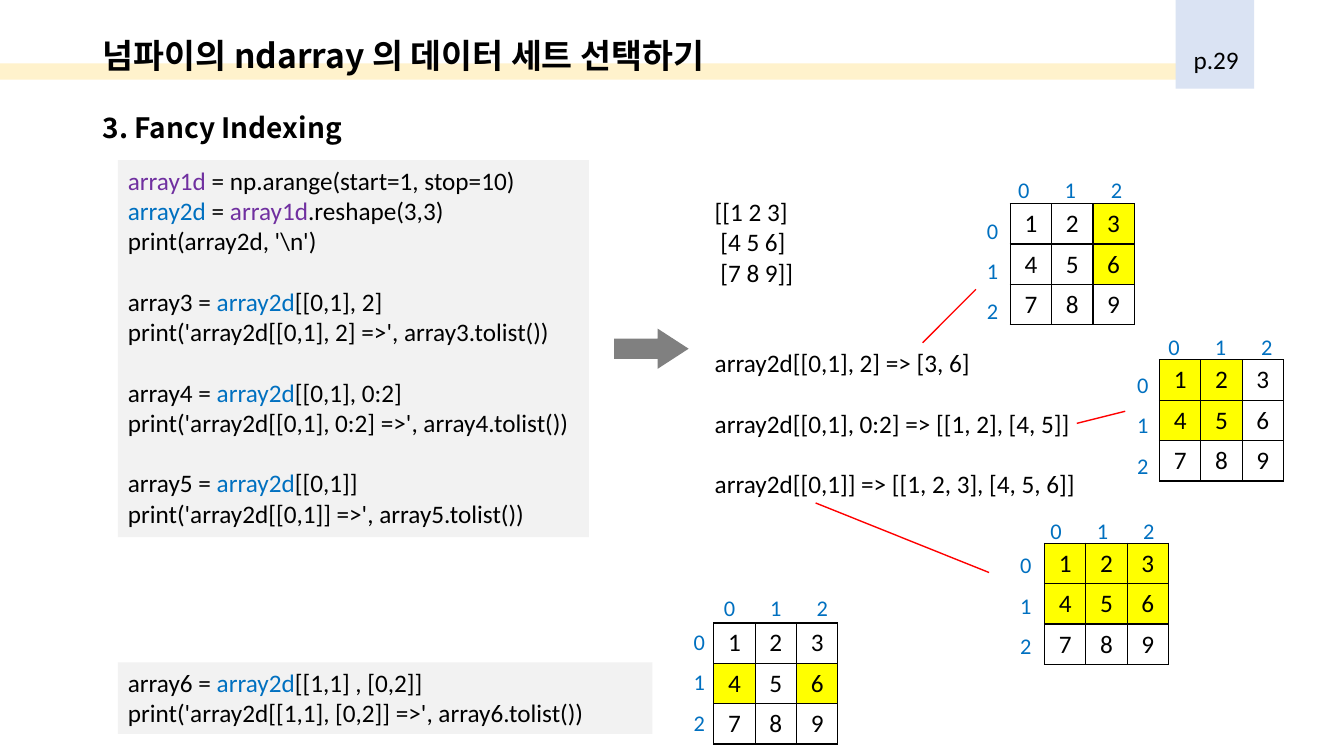
from dataclasses import dataclass

import pptx
import pptx.dml.color
import pptx.enum.shapes
import pptx.enum.text
import pptx.oxml
import pptx.oxml.ns
import pptx.shapes.autoshape
import pptx.slide
import pptx.util
from lxml import etree

Inches = pptx.util.Inches
Pt = pptx.util.Pt
RGBColor = pptx.dml.color.RGBColor
Anchor = pptx.enum.text.MSO_ANCHOR
Preset = pptx.enum.shapes.MSO_SHAPE
qn = pptx.oxml.ns.qn

BLACK = RGBColor(0x00, 0x00, 0x00)
WHITE = RGBColor(0xFF, 0xFF, 0xFF)
YELLOW = RGBColor(0xFF, 0xFF, 0x00)
CREAM = RGBColor(0xFF, 0xF2, 0xCC)
PALE_BLUE = RGBColor(0xDA, 0xE3, 0xF3)
PALE_GRAY = RGBColor(0xF2, 0xF2, 0xF2)
GRAY = RGBColor(0x80, 0x80, 0x80)
BLUE = RGBColor(0x00, 0x70, 0xC0)
PURPLE = RGBColor(0x70, 0x30, 0xA0)
RED = RGBColor(0xFF, 0x00, 0x00)

BODY_FONT = "Calibri"
HEADING_FONT = "Noto Sans CJK KR"
CELL_WIDTH, CELL_HEIGHT = 0.41, 0.4
LABEL_STEP = 0.46
CODE_LINE = 21.6  # height of one 18 pt line, in points

Box = tuple[float, float, float, float]
Point = tuple[float, float]


@dataclass(frozen=True)
class Style:
    size: float = 18
    font: str = BODY_FONT
    bold: bool = False
    spacing: float = 1.0


@dataclass(frozen=True)
class Line:
    """One line of text as (words, colour) runs, with skipped lines above it."""
    runs: tuple[tuple[str, RGBColor], ...]
    skip: int = 0


@dataclass(frozen=True)
class Grid:
    """A 3 by 3 array with its index labels and its selected values."""
    corner: Point
    column_labels: Point
    row_labels: Point
    selected: tuple[int, ...]


HEADING = Style(24, HEADING_FONT, True, 0.9)
SUBHEADING = Style(20, HEADING_FONT, True, 0.9)
CODE = Style()
INDEX = Style(16, spacing=1.5)


def plain(words: str, skip: int = 0, color: RGBColor = BLACK) -> Line:
    return Line(((words, color),), skip)


def selection(target: str, index: str, skip: int = 0) -> Line:
    return Line(((f"{target} = ", BLACK), ("array2d", BLUE), (index, BLACK)), skip)


SELECTION_CODE = (
    Line((("array1d", PURPLE), (" = np.arange(start=1, stop=10)", BLACK))),
    Line((("array2d", BLUE), (" = ", BLACK), ("array1d", PURPLE),
          (".reshape(3,3)", BLACK))),
    plain(r"print(array2d, '\n')"),
    selection("array3", "[[0,1], 2]", 1),
    plain("print('array2d[[0,1], 2] =>', array3.tolist())"),
    selection("array4", "[[0,1], 0:2]", 1),
    plain("print('array2d[[0,1], 0:2] =>', array4.tolist())"),
    selection("array5", "[[0,1]]", 1),
    plain("print('array2d[[0,1]] =>', array5.tolist())"),
)
PAIR_CODE = (
    selection("array6", "[[1,1] , [0,2]]"),
    plain("print('array2d[[1,1], [0,2]] =>', array6.tolist())"),
)
OUTPUT = (
    plain("[[1 2 3]"),
    plain(" [4 5 6]"),
    plain(" [7 8 9]]"),
    plain("array2d[[0,1], 2] => [3, 6]", 2),
    plain("array2d[[0,1], 0:2] => [[1, 2], [4, 5]]", 1),
    plain("array2d[[0,1]] => [[1, 2, 3], [4, 5, 6]]", 1),
)
GRIDS = (
    Grid((10.02, 2.02), (10, 1.57), (9.69, 1.97), (3, 6)),
    Grid((11.5, 3.57), (11.49, 3.12), (11.18, 3.5), (1, 2, 4, 5)),
    Grid((10.36, 5.39), (10.32, 4.95), (10.02, 5.29), (1, 2, 3, 4, 5, 6)),
    Grid((7.08, 6.18), (7.08, 5.71), (6.78, 6.05), (4, 6)),
)
POINTERS: tuple[tuple[Point, Point], ...] = (
    ((9.15, 3.4), (9.68, 2.87)),
    ((10.68, 4.2), (11.16, 4.08)),
    ((8.09, 4.99), (9.81, 5.68)),
)


def add_run(paragraph, words: str, color: RGBColor, style: Style) -> None:
    run = paragraph.add_run()
    run.text = words
    run.font.size = Pt(style.size)
    run.font.name = style.font
    run.font.bold = style.bold
    run.font.color.rgb = color
    if style.font == HEADING_FONT:
        etree.SubElement(run.font._element, qn("a:ea"), typeface=style.font)


def write(frame, lines: tuple[Line, ...], style: Style) -> None:
    for number, line in enumerate(lines):
        paragraph = frame.add_paragraph() if number else frame.paragraphs[0]
        paragraph.line_spacing = style.spacing
        if line.skip:
            paragraph.space_before = Pt(CODE_LINE * line.skip)
        for words, color in line.runs:
            add_run(paragraph, words, color, style)


def add_text(slide: pptx.slide.Slide, box: Box, lines: tuple[Line, ...], style: Style,
             wrap: bool = True, anchor: Anchor = Anchor.TOP):
    frame = slide.shapes.add_textbox(*map(Inches, box)).text_frame
    frame.word_wrap = wrap
    frame.vertical_anchor = anchor
    write(frame, lines, style)
    return frame


def add_block(slide: pptx.slide.Slide, box: Box, fill: RGBColor,
              preset: Preset = Preset.RECTANGLE) -> pptx.shapes.autoshape.Shape:
    block = slide.shapes.add_shape(preset, *map(Inches, box))
    block.shadow.inherit = False
    block.fill.solid()
    block.fill.fore_color.rgb = fill
    block.line.fill.background()
    return block


def add_code(slide: pptx.slide.Slide, box: Box, lines: tuple[Line, ...]) -> None:
    frame = add_block(slide, box, PALE_GRAY).text_frame
    frame.word_wrap = True
    frame.vertical_anchor = Anchor.TOP
    write(frame, lines, CODE)
    for paragraph in frame.paragraphs:
        paragraph.alignment = pptx.enum.text.PP_ALIGN.LEFT


def outline_cell(cell) -> None:
    properties = cell._tc.get_or_add_tcPr()
    for side in ("lnL", "lnR", "lnT", "lnB"):
        border = etree.SubElement(properties, qn(f"a:{side}"), w=str(Pt(1)))
        fill = etree.SubElement(border, qn("a:solidFill"))
        etree.SubElement(fill, qn("a:srgbClr"), val=str(BLACK))


def add_grid(slide: pptx.slide.Slide, grid: Grid) -> None:
    box = (*grid.corner, 3 * CELL_WIDTH, 3 * CELL_HEIGHT)
    array = slide.shapes.add_table(3, 3, *map(Inches, box)).table
    array.first_row = array.horz_banding = False
    for value, cell in enumerate(array.iter_cells(), start=1):
        outline_cell(cell)
        cell.fill.solid()
        cell.fill.fore_color.rgb = YELLOW if value in grid.selected else WHITE
        cell.vertical_anchor = Anchor.MIDDLE
        write(cell.text_frame, (plain(str(value)),), CODE)
        cell.text_frame.paragraphs[0].alignment = pptx.enum.text.PP_ALIGN.CENTER

    columns = add_text(slide, (*grid.column_labels, 1.31, 0.46),
                       (plain("0\t1\t2", color=BLUE),), INDEX)
    stops = etree.SubElement(columns.paragraphs[0]._p.get_or_add_pPr(), qn("a:tabLst"))
    for step in (1, 2):
        etree.SubElement(stops, qn("a:tab"), pos=str(Inches(step * LABEL_STEP)), algn="l")
    add_text(slide, (*grid.row_labels, 0.32, 1.27),
             tuple(plain(str(row), color=BLUE) for row in range(3)), INDEX, wrap=False)


def add_pointer(slide: pptx.slide.Slide, start: Point, end: Point) -> None:
    pointer = slide.shapes.add_connector(
        pptx.enum.shapes.MSO_CONNECTOR.STRAIGHT, *map(Inches, start + end))
    pointer.line.color.rgb = RED
    pointer.line.width = Pt(1)
    etree.SubElement(pointer._element.spPr, qn("a:effectLst"))


def main() -> None:
    deck = pptx.Presentation()
    deck.slide_width, deck.slide_height = Inches(13.33), Inches(7.5)
    slide = deck.slides.add_slide(deck.slide_layouts[6])

    add_block(slide, (0, 0.63, 12.42, 0.16), CREAM)
    add_block(slide, (11.66, -0.01, 0.78, 0.89), PALE_BLUE)
    add_text(slide, (0.92, 0.4, 10.72, 0.35), (plain("넘파이의 ndarray 의 데이터 세트 선택하기"),),
             HEADING, anchor=Anchor.MIDDLE)
    add_text(slide, (0.92, 1.08, 5.3, 0.52), (plain("3. Fancy Indexing"),), SUBHEADING)
    add_text(slide, (11.74, 0.39, 0.65, 0.4), (plain("p.29"),), CODE, wrap=False)

    add_code(slide, (1.17, 1.59, 4.67, 3.74), SELECTION_CODE)
    add_code(slide, (1.17, 6.57, 5.3, 0.71), PAIR_CODE)
    add_text(slide, (6.99, 1.9, 4.55, 3.13), OUTPUT, CODE)
    arrow = add_block(slide, (6.09, 3.26, 0.74, 0.4), GRAY, Preset.RIGHT_ARROW)
    arrow.adjustments[1] = 0.77

    for grid in GRIDS:
        add_grid(slide, grid)
    for start, end in POINTERS:
        add_pointer(slide, start, end)
    deck.save("out.pptx")


if __name__ == "__main__":
    main()
